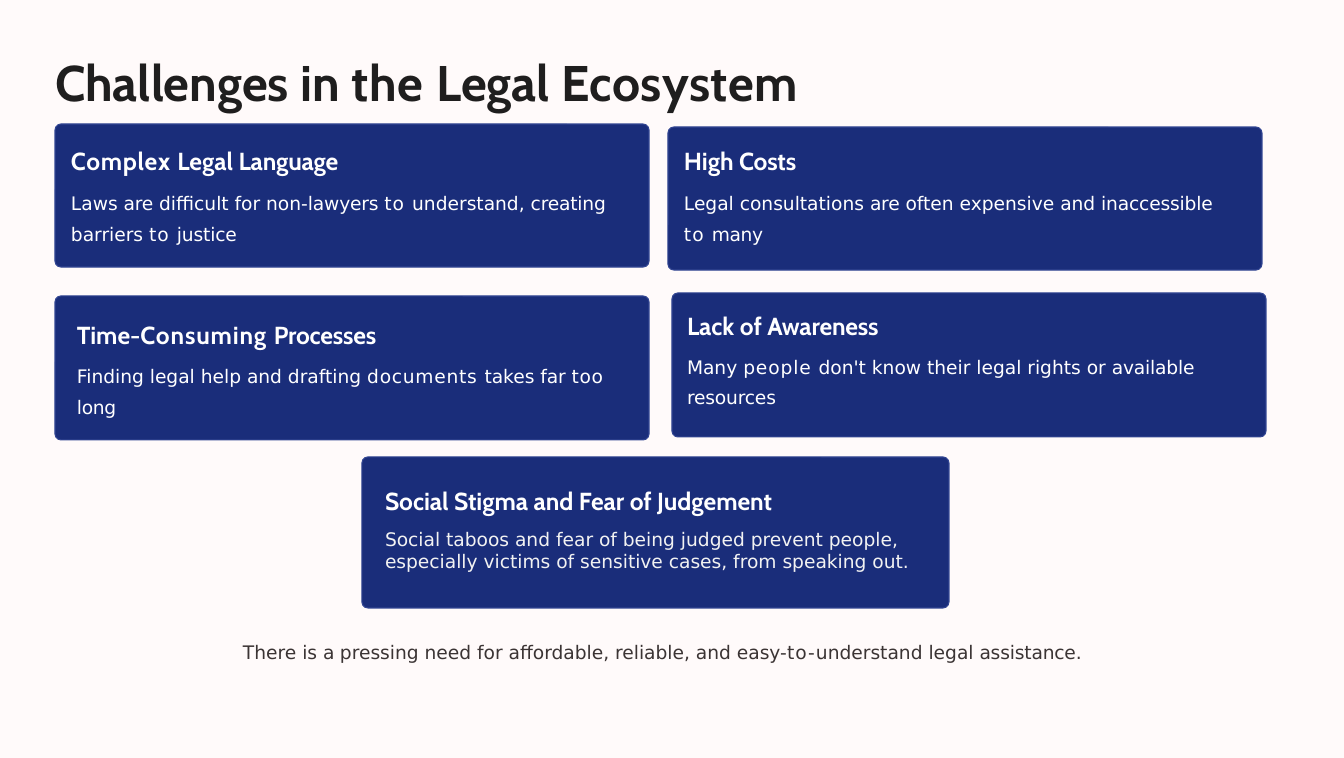
import pptx
import pptx.dml.color
import pptx.enum.shapes
import pptx.enum.text
import pptx.util
from collections import namedtuple
from dataclasses import dataclass

EMU_PER_PX = 914400 / 107.5

Box = namedtuple("Box", "left top width height")
# Pad is the text offset inside the card; gap is the points above the body
Card = namedtuple("Card", "box pad heading body gap")
Style = namedtuple("Style", "font size color bold")


@dataclass(frozen=True)
class Theme:
    background: str = "FFFAFA"
    card: str = "1A2D7A"
    outline: str = "324592"
    title: Style = Style("Cabin", 33.5, "1F1E1E", True)
    heading: Style = Style("Cabin", 16.5, "FFFFFF", True)
    body: Style = Style("DejaVu Sans", 12.5, "FFFFFF", False)
    soft_body: Style = Style("DejaVu Sans", 12.5, "F2F2F2", False)
    closing: Style = Style("DejaVu Sans", 12.5, "3B3434", False)
    body_spacing: float = 1.35
    corner: int = 6
    right_margin: int = 30


THEME = Theme()

# Text is a list of (words, letter spacing in hundredths of a point)
TITLE = [("Challenges in ", 0), ("the ", 60), ("Legal ", 0), ("Ecosystem", 30)]
CARDS = [
    Card(Box(55, 124, 594, 143), (15, 20),
         [("Complex ", 50), ("Legal ", 0), ("Language", -10)],
         [("Laws ", 0), ("are ", -10), ("difficult for non-", 0),
          ("lawyers ", -10), ("to ", 70), ("understand, ", 0),
          ("creating ", -10), ("barriers ", 0), ("to ", 70),
          ("justice", -10)], 6),
    Card(Box(668, 127, 594, 143), (15, 17),
         [("High ", 0), ("Costs", -10)],
         [("Legal consultations ", 0), ("are ", -10),
          ("often expensive and ", 0), ("inaccessible ", -10),
          ("to ", 70), ("many", -20)], 6),
    Card(Box(55, 296, 594, 144), (21, 22),
         [("Time-", 0), ("Consuming ", 60), ("Processes", -10)],
         [("Finding legal help and drafting ", 0), ("documents ", 50),
          ("takes ", 0), ("far ", -10), ("too ", 50), ("long", -20)], 5.2),
    Card(Box(672, 293, 594, 144), (14, 16),
         [("Lack of ", 0), ("Awareness", -10)],
         [("Many ", 0), ("people ", 60),
          ("don't know their legal rights or ", 0),
          ("available resources", -10)], 5.2),
]
STIGMA_CARD = Card(
    Box(362, 457, 587, 151), (22, 27),
    [("Social Stigma and Fear of Judgement", 0)],
    [[("Social taboos and fear of being judged prevent people,", 0)],
     [("especially victims of sensitive cases, from speaking out.", 0)]], 8)
CLOSING = [("There is ", 0), ("a ", -30),
           ("pressing need for affordable, reliable, and easy-", 0),
           ("to-", 70), ("understand legal ", 0), ("assistance.", -10)]


def px(length):
    return pptx.util.Emu(round(length * EMU_PER_PX))


def rgb(color):
    return pptx.dml.color.RGBColor.from_string(color)


def write(para, spans, style):
    para.font.name = style.font
    para.font.size = pptx.util.Pt(style.size)
    para.font.bold = style.bold
    para.font.color.rgb = rgb(style.color)
    for words, spacing in spans:
        span = para.add_run()
        span.text = words
        if spacing:
            span.font._element.set("spc", str(spacing))


def prepare_frame(frame, left, top):
    frame.word_wrap = True
    frame.auto_size = pptx.enum.text.MSO_AUTO_SIZE.NONE
    frame.vertical_anchor = pptx.enum.text.MSO_ANCHOR.TOP
    frame.margin_left, frame.margin_top = px(left), px(top)
    frame.margin_right = frame.margin_bottom = 0


def add_text_box(page, box):
    frame = page.shapes.add_textbox(*map(px, box)).text_frame
    prepare_frame(frame, 1, 2)
    return frame


def place_title(page, box):
    title = page.shapes.title
    title.left, title.top, title.width, title.height = map(px, box)
    prepare_frame(title.text_frame, 1, 28)
    para = title.text_frame.paragraphs[0]
    para.alignment = pptx.enum.text.PP_ALIGN.LEFT
    write(para, TITLE, THEME.title)


def place_card(page, card, paragraphs, style, line_spacing):
    # Panel
    box = card.box
    panel = page.shapes.add_shape(
        pptx.enum.shapes.MSO_SHAPE.ROUNDED_RECTANGLE, *map(px, box))
    panel.adjustments[0] = THEME.corner / box.height
    panel.shadow.inherit = False
    panel.fill.solid()
    panel.fill.fore_color.rgb = rgb(THEME.card)
    panel.line.color.rgb = rgb(THEME.outline)
    panel.line.width = pptx.util.Pt(0.75)

    # Heading and body
    across, down = card.pad
    frame = add_text_box(page, Box(
        box.left + across, box.top + down,
        box.width - across - THEME.right_margin, box.height - 2 * down))
    write(frame.paragraphs[0], card.heading, THEME.heading)
    for index, spans in enumerate(paragraphs):
        para = frame.add_paragraph()
        para.line_spacing = line_spacing
        para.space_before = pptx.util.Pt(0 if index else card.gap)
        write(para, spans, style)


def place_closing(page, box):
    write(add_text_box(page, box).paragraphs[0], CLOSING, THEME.closing)


def main():
    deck = pptx.Presentation()
    deck.slide_width, deck.slide_height = px(1344), px(758)
    page = deck.slides.add_slide(deck.slide_layouts[5])
    page.background.fill.solid()
    page.background.fill.fore_color.rgb = rgb(THEME.background)

    place_title(page, Box(54, 23, 1109, 100))
    for card in CARDS:
        place_card(page, card, [card.body], THEME.body, THEME.body_spacing)
    place_card(page, STIGMA_CARD, STIGMA_CARD.body, THEME.soft_body, 1.0)
    place_closing(page, Box(242, 639, 854, 26))
    deck.save("out.pptx")


if __name__ == "__main__":
    main()
